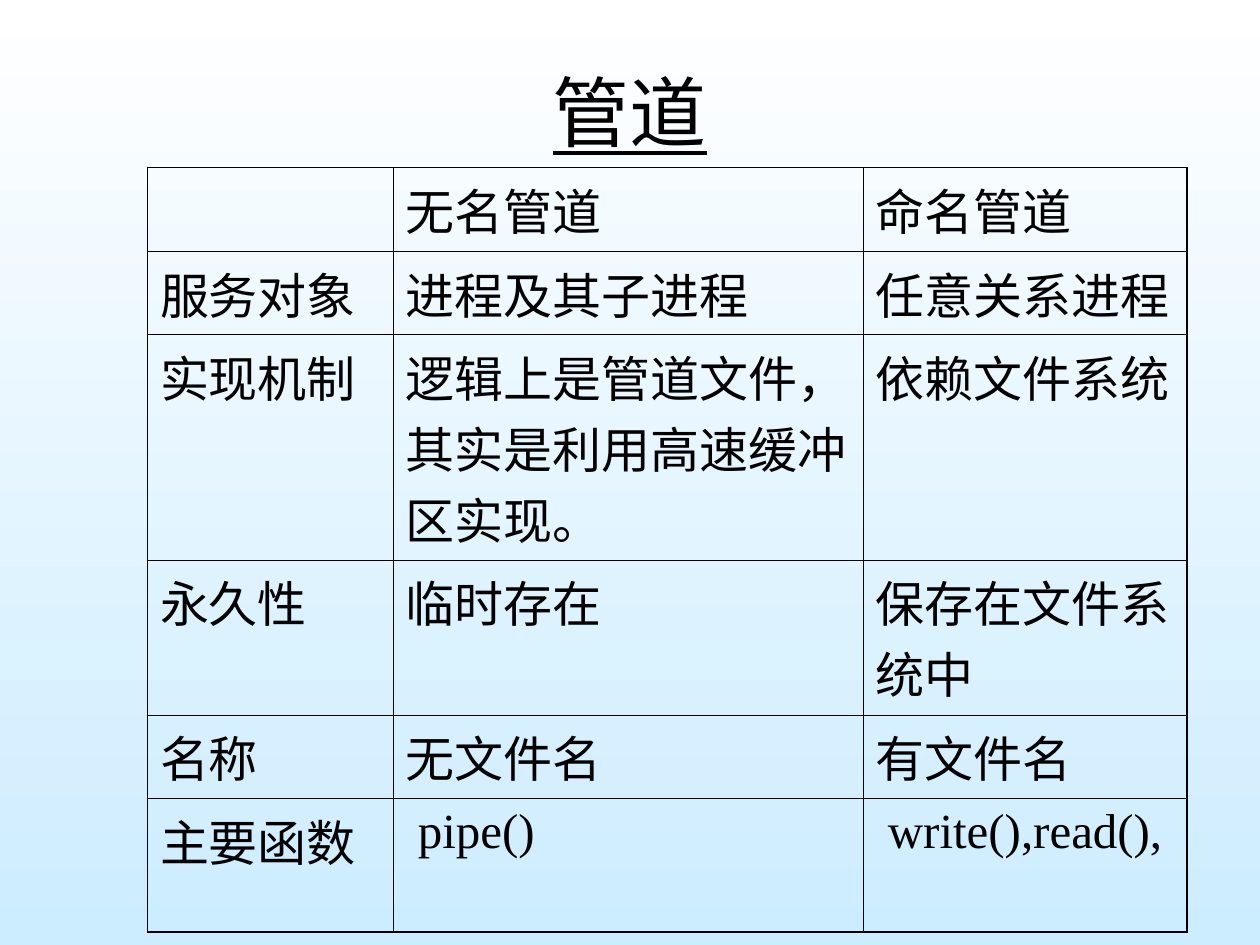
from lxml import etree
from pptx import Presentation
from pptx.dml.color import RGBColor
from pptx.enum.text import MSO_ANCHOR, PP_ALIGN
from pptx.oxml.ns import qn
from pptx.util import Inches, Pt

BLACK = RGBColor(0, 0, 0)
WHITE = RGBColor(0xFF, 0xFF, 0xFF)
PALE_BLUE = RGBColor(0xCC, 0xEC, 0xFF)
FONT = "Times New Roman"
CENTER = PP_ALIGN.CENTER
MIDDLE = MSO_ANCHOR.MIDDLE
THIN, THICK = Pt(0.45), Pt(1.08)

COLUMN_WIDTHS = [1.95, 3.73, 2.57]
ROW_HEIGHTS = [0.66, 0.66, 1.79, 1.23, 0.66, 1.06]
COMPARISON = [
    ["", "无名管道", "命名管道"],
    ["服务对象", "进程及其子进程", "任意关系进程"],
    ["实现机制", "逻辑上是管道文件，其实是利用高速缓冲区实现。", "依赖文件系统"],
    ["永久性", "临时存在", "保存在文件系统中"],
    ["名称", "无文件名", "有文件名"],
    ["主要函数", " pipe()", " write(),read(),"],
]


def add_run(paragraph, text, size):
    run = paragraph.add_run()
    run.text = text
    run.font.name = FONT
    run.font.size = Pt(size)
    run.font.color.rgb = BLACK
    return run


def add_border(cell, side, width):
    line = etree.SubElement(cell._tc.get_or_add_tcPr(), qn(f"a:ln{side}"), w=str(width))
    fill = etree.SubElement(line, qn("a:solidFill"))
    etree.SubElement(fill, qn("a:srgbClr"), val=str(BLACK))


prs = Presentation()
prs.slide_width = Inches(10)
prs.slide_height = Inches(7.5)
slide = prs.slides.add_slide(prs.slide_layouts[5])

backdrop = slide.background.fill
backdrop.gradient()
backdrop.gradient_angle = 270
for stop, color in zip(backdrop.gradient_stops, [WHITE, PALE_BLUE]):
    stop.color.rgb = color

heading = slide.shapes.title
heading.left, heading.top = Inches(0.75), Inches(0.25)
heading.width, heading.height = Inches(8.5), Inches(1.25)
heading.text_frame.vertical_anchor = MIDDLE
heading_line = heading.text_frame.paragraphs[0]
heading_line.alignment = CENTER
add_run(heading_line, "管道", 44).font.underline = True

last_row, last_column = len(ROW_HEIGHTS) - 1, len(COLUMN_WIDTHS) - 1
pipes = slide.shapes.add_table(
    len(ROW_HEIGHTS), len(COLUMN_WIDTHS), Inches(1.17), Inches(1.33),
    Inches(sum(COLUMN_WIDTHS)), Inches(sum(ROW_HEIGHTS))).table
pipes.first_row = False
pipes.horz_banding = False
for column, width in zip(pipes.columns, COLUMN_WIDTHS):
    column.width = Inches(width)
for row, height in zip(pipes.rows, ROW_HEIGHTS):
    row.height = Inches(height)

for r, entries in enumerate(COMPARISON):
    for c, entry in enumerate(entries):
        cell = pipes.cell(r, c)
        add_border(cell, "L", THICK if c == 0 else THIN)
        add_border(cell, "R", THICK if c == last_column else THIN)
        add_border(cell, "T", THICK if r == c == 0 else THIN)
        add_border(cell, "B", THICK if r == last_row else THIN)
        cell.fill.background()
        if entry:
            paragraph = cell.text_frame.paragraphs[0]
            paragraph.space_before = Pt(7)
            add_run(paragraph, entry, 28)

prs.save("out.pptx")
